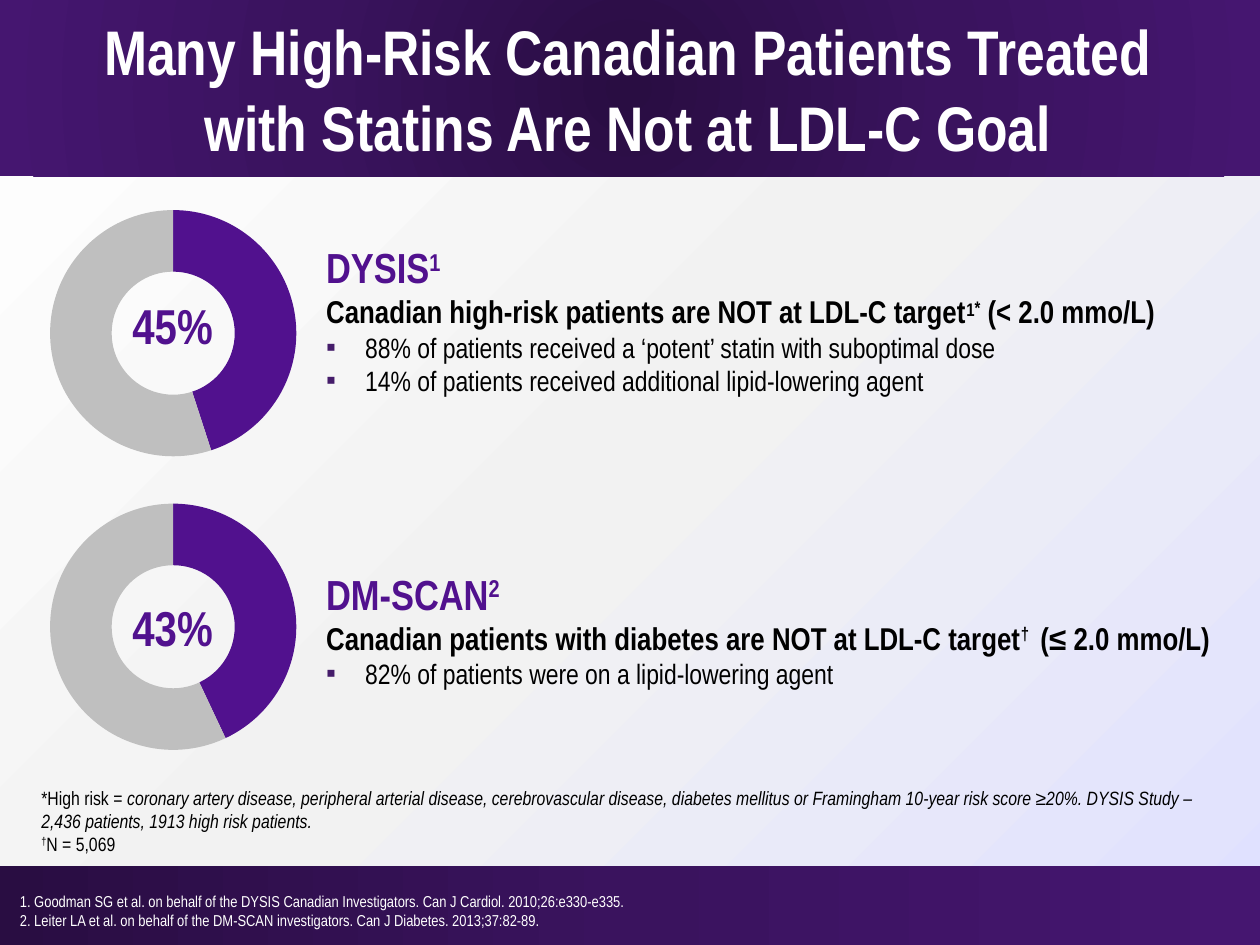
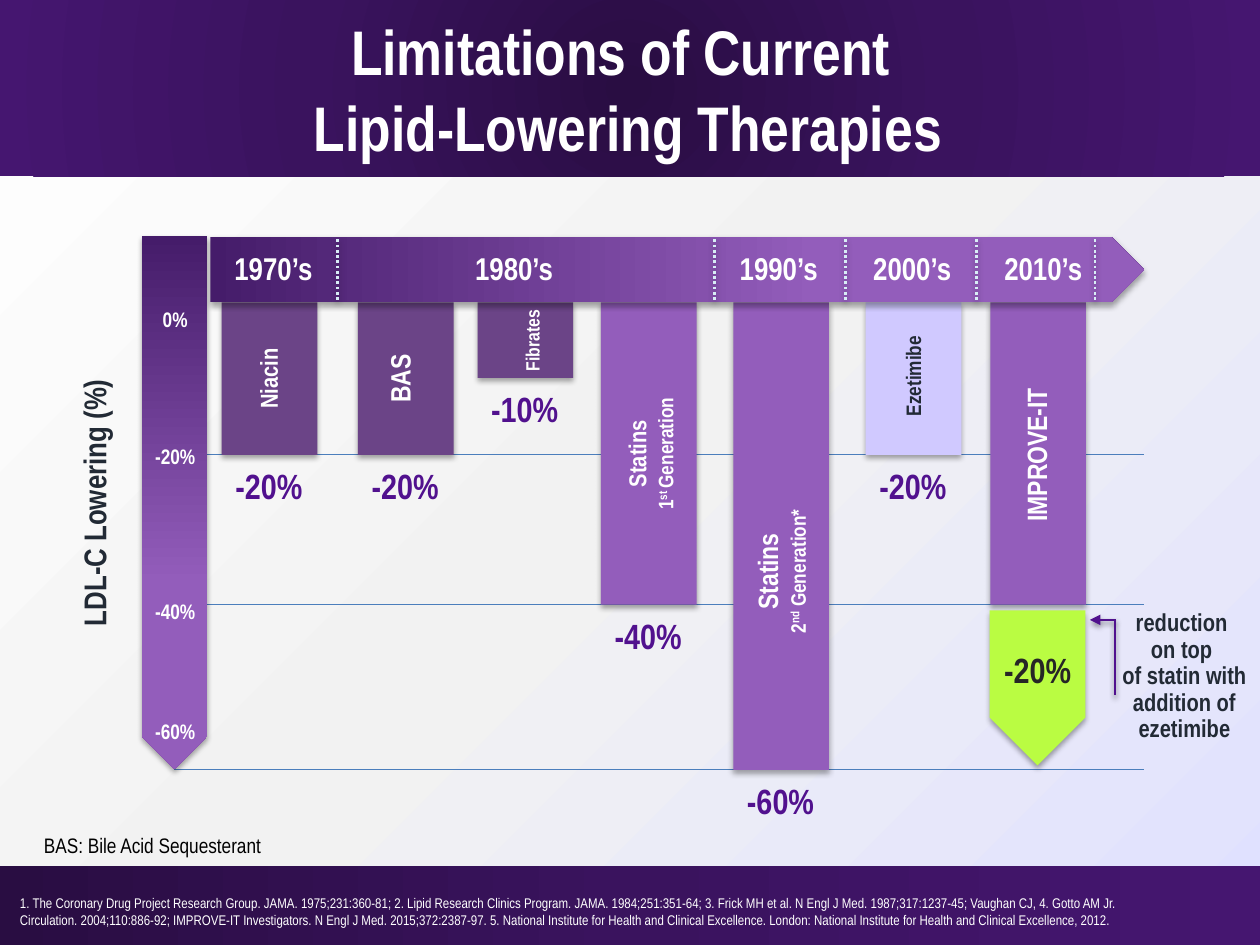
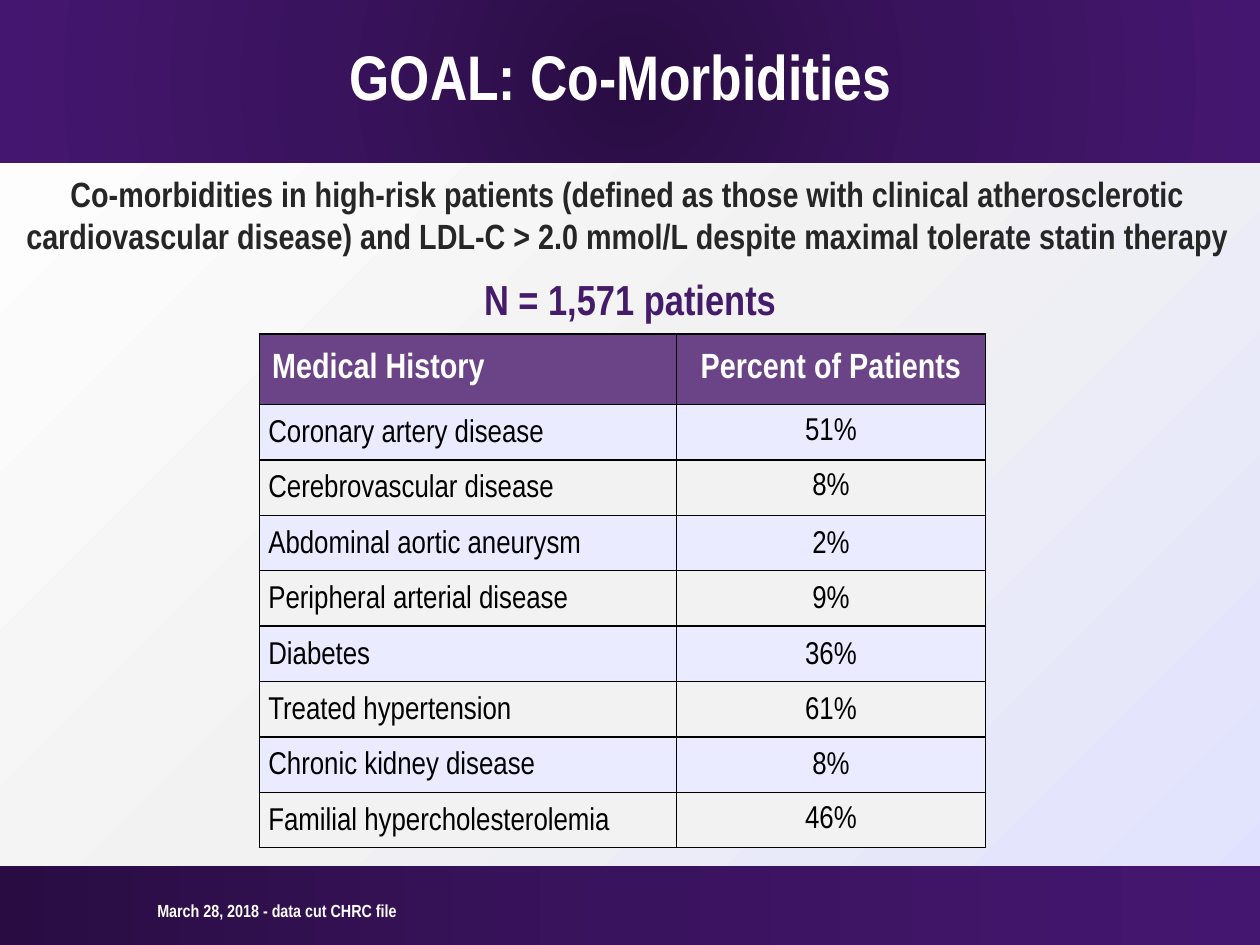
"""Build three slides on LDL-C goals, lipid-lowering therapies and co-morbidities."""
from lxml import etree
from pptx import Presentation
from pptx import util as u
from pptx.chart.data import CategoryChartData
from pptx.dml.color import RGBColor
from pptx.enum import chart as charts, dml, shapes, text
from pptx.oxml import parse_xml
from pptx.oxml.ns import nsdecls, qn


class Theme:
    font = "Arial Narrow"
    white, black, ink, slate = "FFFFFF", "000000", "262626", "222A35"
    violet, deep, plum, lilac, pale = "51118E", "451C6A", "6B4487", "935DBB", "D0C9FF"
    grey, lime, blue, dots = "BFBFBF", "BAFC42", "4B7EBC", "D8EDF6"
    rows = ("EBEBFF", "F2F2F2")
    page = ((0, "FFFFFF"), (50, "F2F2F2"), (100, "E0E1FF"))
    band = ((0, "290D42"), (50, "3A135E"), (100, "451670"))
    scale = ((0, "451C6A"), (65, "935DBB"))
    head, big, sub, lead, body, item = 36, 28, 24, 20, 18, 16
    note, small, tiny, mini, ref, cite = 14, 12, 11, 10, 9, 8


T = Theme
PLATE, RECT = shapes.MSO_SHAPE.PENTAGON, shapes.MSO_SHAPE.RECTANGLE
MID, LEFT = text.PP_ALIGN.CENTER, text.PP_ALIGN.LEFT


def sup(word, base=30):
    return word, {"base": base}


STUDIES = [
    {"share": 45, "chart": 1.52, "label": 2.3, "top": 1.87, "high": 1.82,
     "name": ["DYSIS", sup("1")],
     "claim": ["Canadian high-risk patients are NOT at LDL-C target",
               sup("1", 24), sup("*"), " (< 2.0 mmo/L)"],
     "facts": ["88% of patients received a ‘potent’ statin with suboptimal dose",
               "14% of patients received additional lipid-lowering agent"]},
    {"share": 43, "chart": 3.85, "label": 4.69, "top": 4.46, "high": 1.38,
     "name": ["DM-SCAN", sup("2")],
     "claim": ["Canadian patients with diabetes are NOT at LDL-C target",
               sup("† "), " (≤ 2.0 mmo/L)"],
     "facts": ["82% of patients were on a lipid-lowering agent"]},
]
RISK = [
    ["*High risk = ",
     ("coronary artery disease, peripheral arterial disease, cerebrovascular disease, "
      "diabetes mellitus or Framingham 10-year risk score ≥20%. DYSIS Study – "
      "2,436 patients, 1913 high risk patients.", {"italic": True})],
    [sup("†"), "N = 5,069"],
]
STUDY_REFS = (
    "1. Goodman SG et al. on behalf of the DYSIS Canadian Investigators. "
    "Can J Cardiol. 2010;26:e330-e335. \n"
    "2. Leiter LA et al. on behalf of the DM-SCAN investigators. "
    "Can J Diabetes. 2013;37:82-89.")

DRUGS = [
    (1.76, 3.61, T.plum, ["Niacin"], T.note, (0, 0), "-20%"),
    (2.84, 3.61, T.plum, ["BAS"], T.item, (-0.02, 0), "-20%"),
    (3.79, 3, T.plum, ["Fibrates"], T.tiny, (0.04, 0), "-10%"),
    (4.77, 4.8, T.lilac,
     ["Statins", {"runs": ["1", sup("st "), "Generation"], "size": T.small}],
     T.note, (0.02, 0), "-40%"),
    (5.82, 6.11, T.lilac,
     ["Statins", {"runs": ["2", sup("nd"), " Generation*"], "size": T.small}],
     T.item, (0.02, 0.28), "-60%"),
    (6.87, 3.61, T.pale, ["Ezetimibe"], T.small, (-0.01, -0.02), "-20%"),
    (7.86, 4.8, T.lilac, ["IMPROVE-IT"], T.item, (0.01, 0.01), None),
]
ERAS = [("1970’s", 1.63, 2.68), ("1980’s", 3.54, 5.67), ("1990’s", 5.64, 6.71),
        ("2000’s", 6.7, 7.75), ("2010’s", 7.74, 8.69)]
TICKS = [("0%", 2.38), ("-20%", 3.47), ("-40%", 4.7), ("-60%", 5.65)]
GRID = [(1.63, 3.61), (1.63, 4.8), (1.38, 6.11)]
DRUG_REFS = (
    "1. The Coronary Drug Project Research Group. JAMA. 1975;231:360-81; "
    "2. Lipid Research Clinics Program. JAMA. 1984;251:351-64; "
    "3. Frick MH et al. N Engl J Med. 1987;317:1237-45; Vaughan CJ, "
    "4. Gotto AM Jr. Circulation. 2004;110:886-92; "
    "IMPROVE-IT Investigators. N Engl J Med. 2015;372:2387-97. "
    "5. National Institute for Health and Clinical Excellence. "
    "London: National Institute for Health and Clinical Excellence, 2012.")

HISTORY = [
    ("Coronary artery disease", "51%", 1),
    ("Cerebrovascular disease", "8%", 1),
    ("Abdominal aortic aneurysm", "2%", 1.15),
    ("Peripheral arterial disease", "9%", 1.15),
    ("Diabetes", "36%", 1.15),
    ("Treated hypertension", "61%", 1.15),
    ("Chronic kidney disease", "8%", 1.15),
    ("Familial hypercholesterolemia", "46%", 1),
]


def inch(at):
    return [u.Inches(n) for n in at]


def rgb(code):
    return RGBColor.from_string(code)


def blend(fill, root, stops, angle=0, round_=False):
    fill.gradient()
    node = next(root.iter(qn("a:gradFill")))
    for kid in list(node):
        node.remove(kid)
    marks = "".join(f'<a:gs pos="{p * 1000}"><a:srgbClr val="{c}"/></a:gs>' for p, c in stops)
    node.append(parse_xml(f'<a:gsLst {nsdecls("a")}>{marks}</a:gsLst>'))
    if round_:
        way = (f'<a:path {nsdecls("a")} path="circle">'
               '<a:fillToRect l="50000" t="50000" r="50000" b="50000"/></a:path>')
    else:
        way = f'<a:lin {nsdecls("a")} ang="{angle * 60000}" scaled="0"/>'
    node.append(parse_xml(way))


def shade(item, alpha=None):
    props = item._element.spPr
    for old in props.findall(qn("a:effectLst")):
        props.remove(old)
    glow = "" if alpha is None else (
        '<a:outerShdw blurRad="40000" dist="23000" dir="5400000" rotWithShape="0">'
        f'<a:srgbClr val="000000"><a:alpha val="{alpha * 1000}"/></a:srgbClr></a:outerShdw>')
    props.append(parse_xml(f'<a:effectLst {nsdecls("a")}>{glow}</a:effectLst>'))


def shape(slide, kind, at, fill, turn=0, alpha=35, round_=False):
    box = slide.shapes.add_shape(kind, *inch(at))
    box.rotation = turn
    box.line.fill.background()
    if isinstance(fill, str):
        box.fill.solid()
        box.fill.fore_color.rgb = rgb(fill)
    else:
        blend(box.fill, box._element.spPr, fill, round_=round_)
    shade(box, alpha)


def line(slide, start, end, color, width, alpha=None, dash=None, arrow=False):
    link = slide.shapes.add_connector(shapes.MSO_CONNECTOR.STRAIGHT, *inch(start + end))
    link.line.color.rgb = rgb(color)
    link.line.width = u.Pt(width)
    if dash:
        link.line.dash_style = dash
    if arrow:
        etree.SubElement(link.line._get_or_add_ln(), qn("a:tailEnd"), type="triangle")
    shade(link, alpha)


def style(font, size, color, bold):
    font.name, font.size, font.bold = T.font, u.Pt(size), bold
    font.color.rgb = rgb(color)


def bullet(para):
    props = para._p.get_or_add_pPr()
    props.set("marL", str(u.Inches(0.31)))
    props.set("indent", str(-u.Inches(0.31)))
    for xml in (f'<a:buClr {nsdecls("a")}><a:srgbClr val="{T.deep}"/></a:buClr>',
                f'<a:buFont {nsdecls("a")} typeface="Arial"/>',
                f'<a:buChar {nsdecls("a")} char="▪"/>'):
        props.append(parse_xml(xml))


def write(para, runs, size, color, bold, align, gap):
    para.alignment = align
    if gap:
        para.line_spacing = gap
    style(para.font, size, color, bold)
    for run in [runs] if isinstance(runs, str) else runs:
        words, extra = (run, {}) if isinstance(run, str) else run
        for n, part in enumerate(words.split("\n")):
            if n:
                para.add_line_break()
            piece = para.add_run()
            piece.text = part
            if "base" in extra:
                piece.font._element.set("baseline", str(extra["base"] * 1000))
            if "italic" in extra:
                piece.font.italic = True


def label(slide, at, paras, size, color, bold=True, align=MID, mid=False, turn=0, gap=None):
    box = slide.shapes.add_textbox(*inch(at))
    box.rotation = turn
    frame = box.text_frame
    frame.word_wrap = True
    if mid:
        frame.vertical_anchor = text.MSO_ANCHOR.MIDDLE
    for n, spec in enumerate([paras] if isinstance(paras, str) else paras):
        para = frame.add_paragraph() if n else frame.paragraphs[0]
        if not isinstance(spec, dict):
            spec = {"runs": spec}
        if spec.get("bullet"):
            bullet(para)
        write(para, spec["runs"], spec.get("size", size), spec.get("color", color),
              spec.get("bold", bold), align, gap)


def start(deck, title, top=0.05, deep=1.4, left=-0.02):
    slide = deck.slides.add_slide(deck.slide_layouts[6])
    blend(slide.background.fill, slide.element, T.page, 45)
    shape(slide, RECT, (left, 6.87, 10.02, 0.63), T.band, alpha=None)
    shape(slide, RECT, (left, 0, 10.02, deep), T.band, alpha=None, round_=True)
    label(slide, (0.37, top, 9.23, 1.36 - top), title, T.head, T.white)
    return slide


def ring(slide, top, share):
    data = CategoryChartData()
    data.categories = ["1", "2"]
    data.add_series("Series 1", (share, 100 - share))
    chart = slide.shapes.add_chart(charts.XL_CHART_TYPE.DOUGHNUT,
                                   *inch((-0.31, top, 3.37, 2.25)), data).chart
    chart.has_legend = chart.has_title = False
    chart.font.name, chart.font.size = "Arial", u.Pt(T.mini)
    chart.font.color.rgb = rgb(T.black)
    plot = chart.plots[0]
    plot.vary_by_categories = True
    for n, color in enumerate((T.violet, T.grey)):
        mark = plot.series[0].points[n].format
        mark.fill.solid()
        mark.fill.fore_color.rgb = rgb(color)
        mark.line.fill.background()
    area = chart._chartSpace.chart.plotArea
    for old in area.findall(qn("c:layout")):
        area.remove(old)
    spots = "".join(f'<c:{k} val="{v}"/>' for k, v in (
        ("layoutTarget", "inner"), ("xMode", "edge"), ("yMode", "edge"),
        ("x", 0.21), ("y", 0.06), ("w", 0.58), ("h", 0.88)))
    area.insert(0, parse_xml(f'<c:layout {nsdecls("c")}><c:manualLayout>{spots}'
                             '</c:manualLayout></c:layout>'))


def goals(deck):
    slide = start(deck, "Many High-Risk Canadian Patients Treated "
                        "with Statins Are Not at LDL-C Goal")
    label(slide, (0.06, 7.03, 9.54, 0.4), STUDY_REFS, T.ref, T.white, False, LEFT)
    for study in STUDIES:
        ring(slide, study["chart"], study["share"])
        label(slide, (0.92, study["label"], 0.9, 0.57), f'{study["share"]}%', T.big, T.violet)
        paras = [{"runs": study["name"], "size": T.sub, "color": T.violet}, study["claim"]]
        paras += [{"runs": fact, "size": T.item, "bold": False, "bullet": True}
                  for fact in study["facts"]]
        label(slide, (2.49, study["top"], 7.42, study["high"]), paras, T.body, T.black, align=LEFT)
    label(slide, (0.23, 6.19, 9.54, 0.66), RISK, T.tiny, T.black, False, LEFT)


def drugs(deck):
    slide = start(deck, "Limitations of Current \nLipid-Lowering Therapies")
    label(slide, (0.06, 7.05, 8.98, 0.37), DRUG_REFS, T.cite, T.white, False, LEFT)
    for left, y in GRID:
        line(slide, (left, y), (9.08, y), T.blue, 0.75)
    shape(slide, PLATE, (-0.73, 3.73, 4.23, 0.52), T.scale, turn=90)
    top, wide = 2.4, 0.76
    for left, end, fill, name, size, (dx, dy), value in DRUGS:
        deep, mid = end - top, left + wide / 2
        shape(slide, RECT, (left, top, wide, deep), fill)
        span = max(deep, 1.1)
        label(slide, (mid + dx - span / 2, (top + end) / 2 + dy - 0.26, span, 0.52), name, size,
              T.slate if fill == T.pale else T.white, mid=True, turn=270, gap=u.Pt(15))
        if value:
            label(slide, (mid - 0.44, end + 0.03, 0.87, 0.44), value, T.lead, T.violet)
    shape(slide, PLATE, (1.67, 1.88, 7.41, 0.52), T.scale)
    for era, left, edge in ERAS:
        label(slide, (left, 1.93, 1.08, 0.4), era, T.body, T.white, mid=True)
        line(slide, (edge, 1.9), (edge, 2.4), T.dots, 1.5, 38, dml.MSO_LINE.ROUND_DOT)
    shape(slide, PLATE, (7.62, 5.08, 1.23, 0.76), T.lime, turn=90)
    label(slide, (7.8, 5.1, 0.87, 0.44), "-20%", T.lead, T.ink)
    label(slide, (-1.37, 3.79, 4.23, 0.4), "LDL-C Lowering (%)", T.body, T.slate, turn=270)
    label(slide, (8.79, 4.79, 1.22, 1.15),
          "reduction \non top \nof statin with addition of ezetimibe",
          T.note, T.slate, gap=u.Pt(15.2))
    line(slide, (8.86, 4.92), (8.65, 4.92), T.violet, 1.5, 38, arrow=True)
    line(slide, (8.85, 4.92), (8.85, 5.52), T.violet, 1.5, 38)
    for tick, y in TICKS:
        label(slide, (1.08, y, 0.62, 0.3), tick, T.small, T.white)
    label(slide, (0.25, 6.56, 3.35, 0.3), "BAS: Bile Acid Sequesterant", T.small, T.black,
          False, LEFT)


def border(cell):
    props = cell._tc.get_or_add_tcPr()
    for n, side in enumerate(("lnL", "lnR", "lnT", "lnB")):
        props.insert(n, parse_xml(
            f'<a:{side} {nsdecls("a")} w="12700"><a:solidFill><a:srgbClr val="{T.black}"/>'
            f'</a:solidFill></a:{side}>'))


def health(deck):
    slide = start(deck, "GOAL: Co-Morbidities ", 0.25, 1.29, -0.01)
    label(slide, (-0.02, 1.32, 10, 0.77),
          "Co-morbidities in high-risk patients (defined as those with clinical atherosclerotic "
          "cardiovascular disease) and LDL-C > 2.0 mmol/L despite maximal tolerate statin therapy",
          T.lead, T.ink)
    label(slide, (2.3, 2.13, 5.4, 0.48), "N = 1,571 patients", T.sub, T.deep, mid=True)
    rows = [("Medical History", "Percent of Patients", 1)] + HISTORY
    table = slide.shapes.add_table(len(rows), 2, *inch((2.06, 2.65, 5.76, 4.05))).table
    table.first_row = table.horz_banding = False
    for col, wide in zip(table.columns, (3.31, 2.45)):
        col.width = u.Inches(wide)
    for r, (name, share, gap) in enumerate(rows):
        table.rows[r].height = u.Inches(0.44 if r else 0.56)
        for c, words in enumerate((name, share)):
            cell = table.cell(r, c)
            cell.vertical_anchor = text.MSO_ANCHOR.MIDDLE
            cell.fill.solid()
            cell.fill.fore_color.rgb = rgb(T.rows[(r - 1) % 2] if r else T.plum)
            border(cell)
            if r:
                cell.margin_left = cell.margin_right = u.Inches(0.07)
                cell.margin_top = cell.margin_bottom = 0
            write(cell.text_frame.paragraphs[0], words, T.body if r else T.lead,
                  T.black if r else T.white, not r, MID if c else LEFT,
                  1.15 if r and not c else gap)
    label(slide, (1.15, 7.09, 3.1, 0.27), "March 28, 2018 - data cut CHRC file",
          T.mini, T.white, align=LEFT)


def main():
    deck = Presentation()
    deck.slide_width, deck.slide_height = inch((10, 7.5))
    goals(deck)
    drugs(deck)
    health(deck)
    deck.save("out.pptx")


if __name__ == "__main__":
    main()
